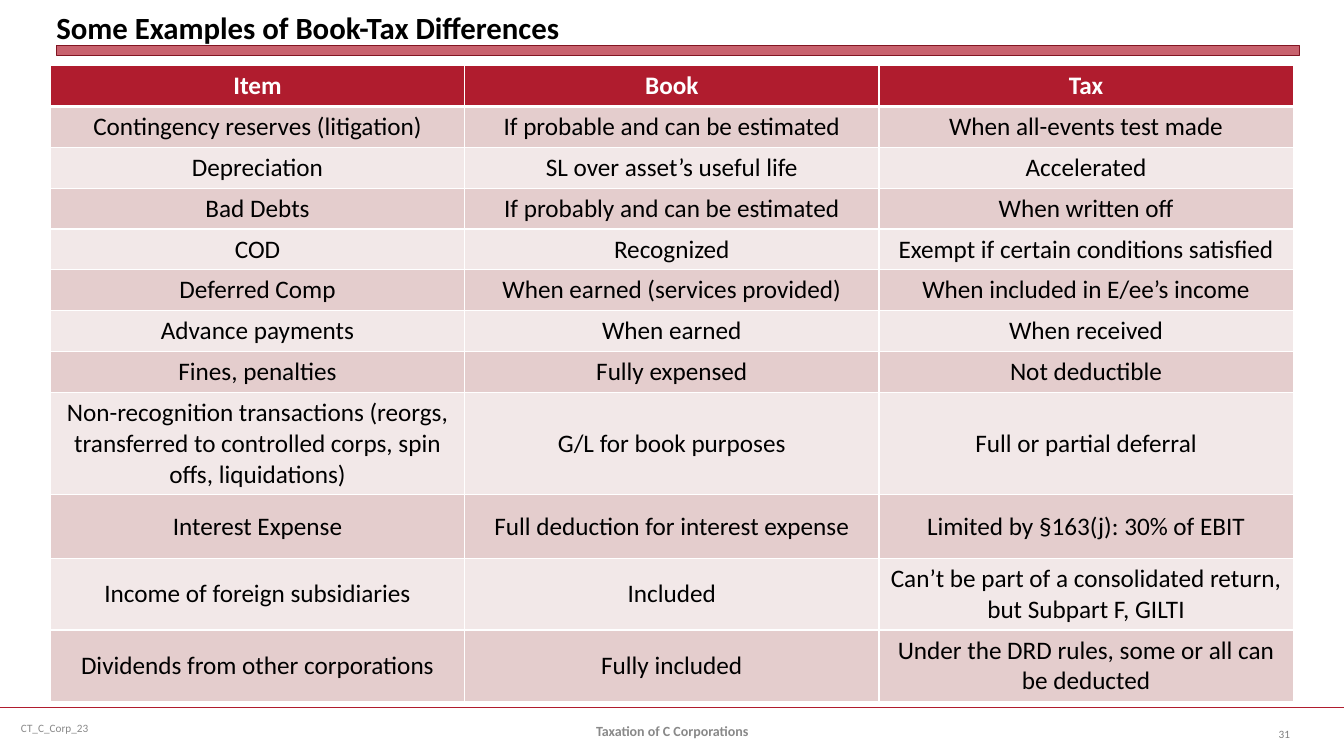
from dataclasses import dataclass

import lxml.etree
import pptx
import pptx.dml.color
import pptx.enum.shapes
import pptx.enum.text
import pptx.oxml.ns
import pptx.util

Cm = pptx.util.Cm
Pt = pptx.util.Pt
Align = pptx.enum.text.PP_ALIGN
Anchor = pptx.enum.text.MSO_ANCHOR
qn = pptx.oxml.ns.qn

FONT = "Calibri"
RED = "B01C2E"
WHITE = "FFFFFF"
BLACK = "000000"
GREY = "898989"
BANDS = ("E4CDCD", "F2E8E8")
WIDE = 33.87
COL = 10.44
ROW = 0.91


@dataclass
class Label:
    text: str
    left: float
    top: float
    width: float
    size: float
    color: str = GREY
    bold: bool = False
    align: Align = Align.LEFT
    anchor: Anchor = Anchor.MIDDLE
    inset: bool = True


@dataclass
class Entry:
    item: str
    book: str
    tax: str
    height: float = ROW


LABELS = [
    Label("Some Examples of Book-Tax Differences", 1.42, 0.13, 31.32, 22, BLACK,
          True, anchor=Anchor.BOTTOM, inset=False),
    Label("CT_C_Corp_23", 0.28, 17.83, 8.74, 8),
    Label("Taxation of C Corporations", 11.58, 17.91, 10.72, 10, bold=True,
          align=Align.CENTER),
    Label("31", 31.06, 17.98, 1.7, 8, "808080", align=Align.RIGHT),
]

ENTRIES = [
    Entry("Item", "Book", "Tax"),
    Entry("Contingency reserves (litigation)", "If probable and can be estimated",
          "When all-events test made"),
    Entry("Depreciation", "SL over asset’s useful life", "Accelerated"),
    Entry("Bad Debts", "If probably and can be estimated", "When written off"),
    Entry("COD", "Recognized", "Exempt if certain conditions satisfied"),
    Entry("Deferred Comp", "When earned (services provided)",
          "When included in E/ee’s income"),
    Entry("Advance payments", "When earned", "When received"),
    Entry("Fines, penalties", "Fully expensed", "Not deductible"),
    Entry("Non-recognition transactions (reorgs, transferred to controlled corps, "
          "spin offs, liquidations)",
          "G/L for book purposes", "Full or partial deferral", 2.31),
    Entry("Interest Expense", "Full deduction for interest expense",
          "Limited by §163(j): 30% of EBIT", 1.6),
    Entry("Income of foreign subsidiaries", "Included",
          "Can’t be part of a consolidated return, but Subpart F, GILTI", 1.63),
    Entry("Dividends from other corporations", "Fully included",
          "Under the DRD rules, some or all can be deducted", 1.63),
]


def paint(target, color: str) -> None:
    target.rgb = pptx.dml.color.RGBColor.from_string(color)


def style(frame, size: float, color: str, bold: bool, align: Align) -> None:
    para = frame.paragraphs[0]
    para.alignment = align
    for run in para.runs:
        run.font.name = FONT
        run.font.size = Pt(size)
        run.font.bold = bold
        paint(run.font.color, color)


def add_label(slide, label: Label) -> None:
    box = slide.shapes.add_textbox(Cm(label.left), Cm(label.top),
                                   Cm(label.width), Cm(1.02))
    frame = box.text_frame
    frame.word_wrap = True
    frame.vertical_anchor = label.anchor
    if not label.inset:
        frame.margin_left = frame.margin_right = 0
        frame.margin_top = frame.margin_bottom = 0
    frame.text = label.text
    style(frame, label.size, label.color, label.bold, label.align)


def add_rule(slide) -> None:
    rule = slide.shapes.add_connector(pptx.enum.shapes.MSO_CONNECTOR.STRAIGHT,
                                      0, Cm(17.83), Cm(WIDE), Cm(17.83))
    paint(rule.line.color, RED)
    rule.line.width = Pt(1.25)
    lxml.etree.SubElement(rule._element.spPr, qn("a:effectLst"))


def add_bar(slide) -> None:
    bar = slide.shapes.add_shape(pptx.enum.shapes.MSO_SHAPE.RECTANGLE,
                                 Cm(1.42), Cm(1.14), Cm(31.32), Cm(0.25))
    bar.shadow.inherit = False
    bar.fill.solid()
    paint(bar.fill.fore_color, RED)
    tint = bar._element.spPr.find(qn("a:solidFill")).find(qn("a:srgbClr"))
    lxml.etree.SubElement(tint, qn("a:alpha"), val="69000")
    paint(bar.line.color, "821522")
    bar.line.width = Pt(0)


def add_edges(cell, top: float, bottom: float) -> None:
    props = cell._tc.get_or_add_tcPr()
    for side, width in (("L", 1), ("R", 1), ("T", top), ("B", bottom)):
        edge = lxml.etree.SubElement(props, qn(f"a:ln{side}"), w=str(Pt(width)))
        fill = lxml.etree.SubElement(edge, qn("a:solidFill"))
        lxml.etree.SubElement(fill, qn("a:srgbClr"), val=WHITE)


def add_grid(slide, entries: list[Entry]) -> None:
    total = sum(entry.height for entry in entries)
    grid = slide.shapes.add_table(len(entries), 3, Cm(1.27), Cm(1.65),
                                  Cm(3 * COL), Cm(total)).table
    grid.horz_banding = False
    for column in grid.columns:
        column.width = Cm(COL)
    for row, entry in enumerate(entries):
        grid.rows[row].height = Cm(entry.height)
        head = row == 0
        for col, text in enumerate((entry.item, entry.book, entry.tax)):
            cell = grid.cell(row, col)
            add_edges(cell, 3 if row == 1 else 1, 3 if head else 1)
            cell.fill.solid()
            paint(cell.fill.fore_color, RED if head else BANDS[(row - 1) % 2])
            cell.vertical_anchor = Anchor.TOP if head else Anchor.MIDDLE
            cell.text_frame.text = text
            style(cell.text_frame, 18, WHITE if head else BLACK, head, Align.CENTER)


def main() -> None:
    deck = pptx.Presentation()
    deck.slide_width = Cm(WIDE)
    deck.slide_height = Cm(19.05)
    slide = deck.slides.add_slide(deck.slide_layouts[6])
    add_rule(slide)
    add_bar(slide)
    add_grid(slide, ENTRIES)
    for label in LABELS:
        add_label(slide, label)
    deck.save("out.pptx")


if __name__ == "__main__":
    main()
